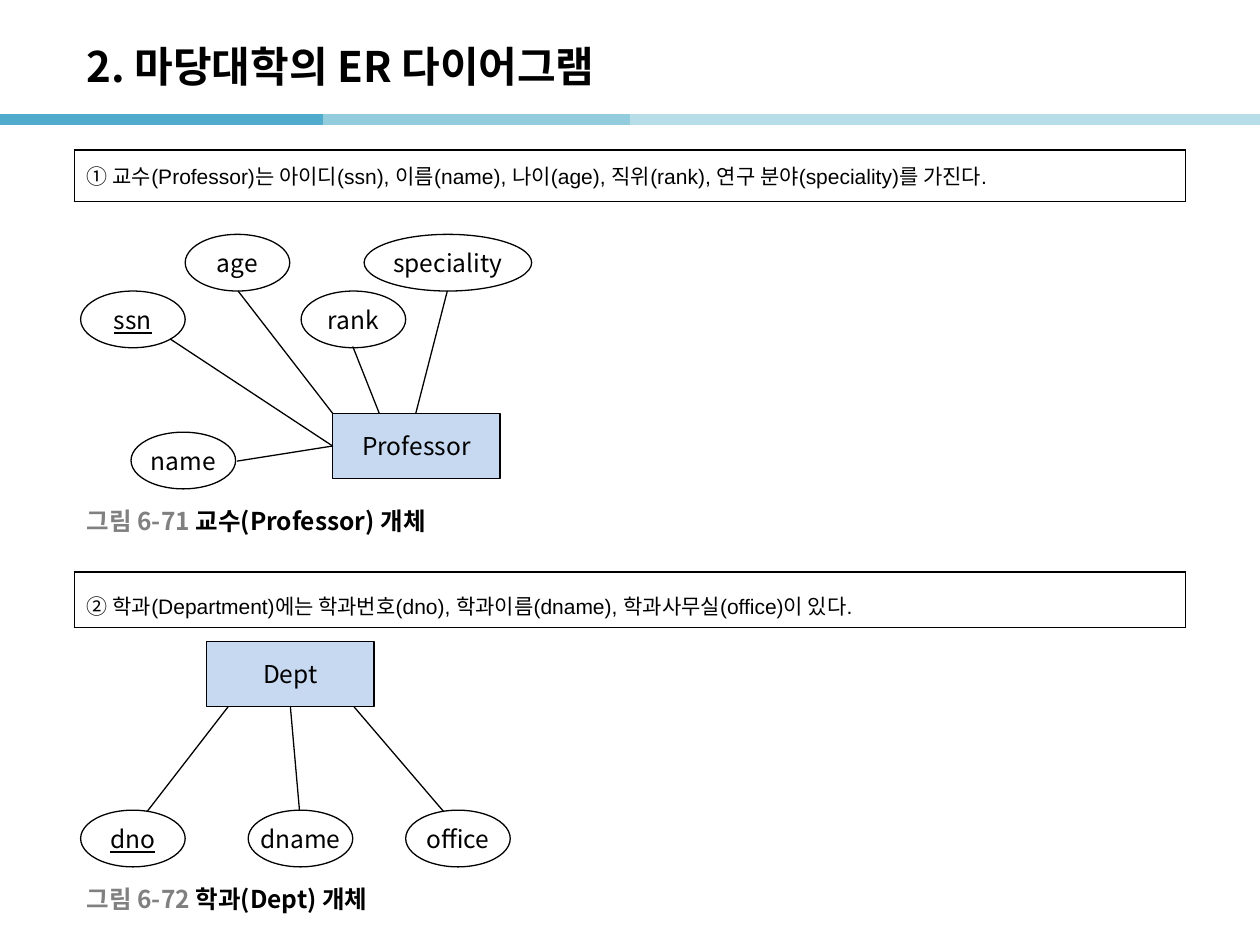
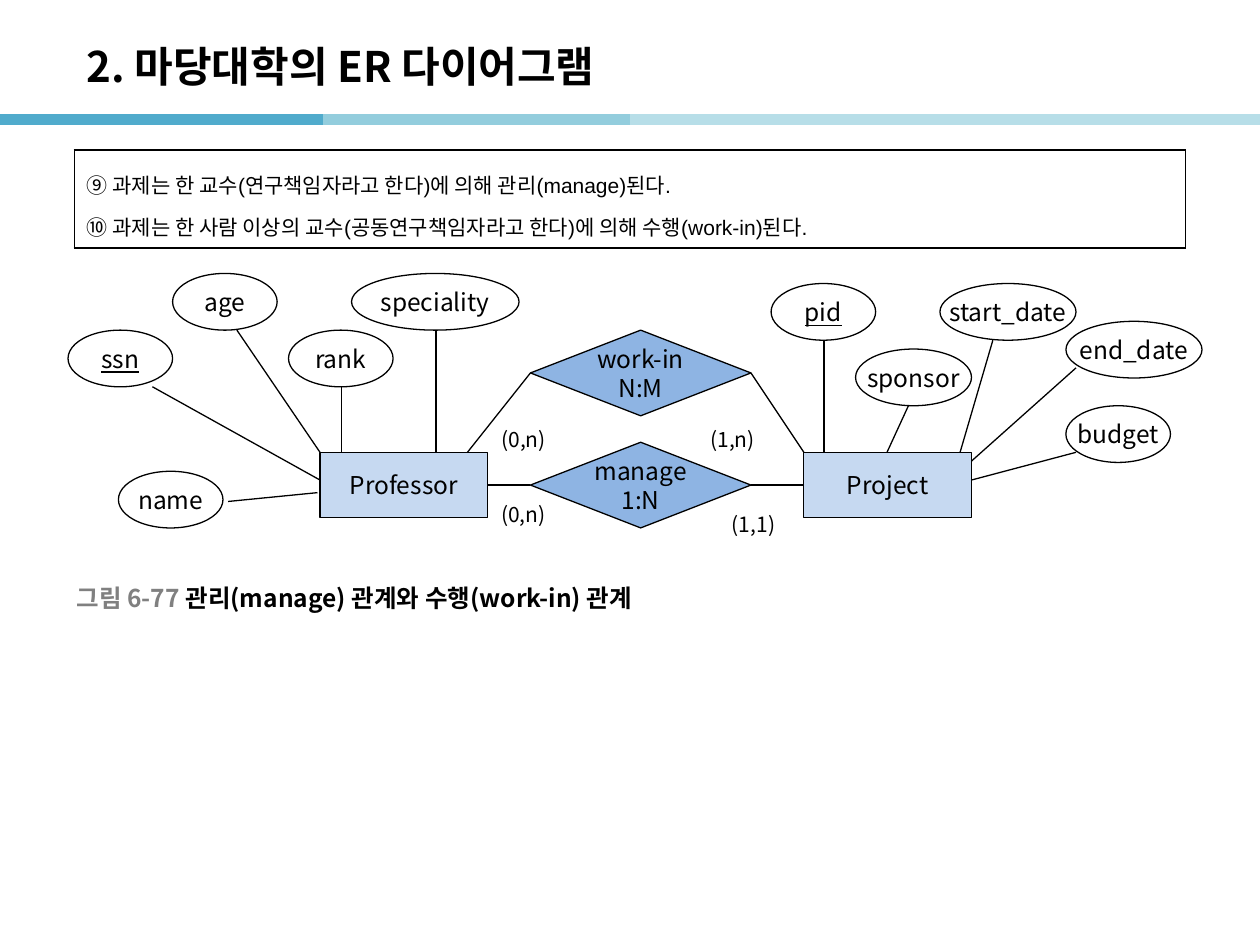
"""Build two slides with ER diagrams of a university database."""
from dataclasses import dataclass

from lxml import etree
from pptx import Presentation
from pptx.dml.color import RGBColor
from pptx.enum.shapes import MSO_CONNECTOR, MSO_SHAPE
from pptx.enum.text import MSO_ANCHOR, MSO_AUTO_SIZE, PP_ALIGN
from pptx.oxml.ns import qn
from pptx.util import Inches, Pt

RECT, OVAL, DIAMOND = MSO_SHAPE.RECTANGLE, MSO_SHAPE.OVAL, MSO_SHAPE.DIAMOND
STRAIGHT = MSO_CONNECTOR.STRAIGHT
MIDDLE = MSO_ANCHOR.MIDDLE
CENTER = PP_ALIGN.CENTER
FIT_SHAPE = MSO_AUTO_SIZE.SHAPE_TO_FIT_TEXT
LEFT, BOTTOM, RIGHT = 1, 2, 3


@dataclass(frozen=True)
class Theme:
    font: str = "Noto Sans CJK KR"
    note_font: str = "Arial"
    black: str = "000000"
    white: str = "FFFFFF"
    gray: str = "808080"
    entity: str = "C6D9F1"
    relation: str = "8EB4E3"
    bands: tuple = (("50ABCC", 0), ("93CDDD", 2.56), ("B7DEE8", 5), ("B7DEE8", 7.46))
    title_size: int = 24
    body_size: int = 14
    small_size: int = 12
    line: float = 0.75
    border: int = 1
    band: int = 6


class Deck:
    def __init__(self, theme):
        self.theme = theme
        self.prs = Presentation()
        self.prs.slide_width, self.prs.slide_height = Inches(10), Inches(7.5)
        self.s = None

    def slide(self, title):
        t = self.theme
        self.s = self.prs.slides.add_slide(self.prs.slide_layouts[6])
        for color, x in t.bands:
            self.link((x, 0.95), (x + 2.56, 0.95), color, t.band)
        tf = self.text_box(0.59, 0.22, 8.27, 0.6)
        tf.vertical_anchor = MIDDLE
        p = tf.paragraphs[0]
        p.text = title
        self.style(p.font, t.title_size, bold=True)

    def style(self, font, size, color=None, name=None, bold=False):
        font.name = name or self.theme.font
        font.size, font.bold = Pt(size), bold
        font.color.rgb = RGBColor.from_string(color or self.theme.black)
        etree.SubElement(font._rPr, qn("a:ea"), typeface=self.theme.font)

    def text_box(self, x, y, w, h):
        tf = self.s.shapes.add_textbox(Inches(x), Inches(y), Inches(w), Inches(h)).text_frame
        tf.word_wrap = True
        return tf

    def node(self, text, x, y, w, h, kind, fill, underline=False):
        t = self.theme
        sp = self.s.shapes.add_shape(kind, Inches(x), Inches(y), Inches(w), Inches(h))
        sp.shadow.inherit = False
        sp.fill.solid()
        sp.fill.fore_color.rgb = RGBColor.from_string(fill)
        sp.line.color.rgb = RGBColor.from_string(t.black)
        sp.line.width = Pt(t.line)
        tf = sp.text_frame
        tf.word_wrap = False
        tf.vertical_anchor = MIDDLE
        tf.text = text
        for p in tf.paragraphs:
            p.alignment = CENTER
            self.style(p.font, t.body_size)
            if underline:
                p.font.underline = True
        return sp

    def entity(self, text, x, y):
        return self.node(text, x, y, 1.33, 0.52, RECT, self.theme.entity)

    def relation(self, text, x, y):
        return self.node(text, x, y, 1.75, 0.68, DIAMOND, self.theme.relation)

    def attribute(self, text, x, y, w=0.83, key=False):
        return self.node(text, x, y, w, 0.45, OVAL, self.theme.white, key)

    def link(self, start, end, color=None, width=None):
        """Join two ends, each a point (x, y) or a (shape, site) pair."""
        points = [(0, 0) if hasattr(a, "shape_id") else (a, b) for a, b in (start, end)]
        cn = self.s.shapes.add_connector(STRAIGHT, *(Inches(v) for pt in points for v in pt))
        for pair, connect in ((start, cn.begin_connect), (end, cn.end_connect)):
            if hasattr(pair[0], "shape_id"):
                connect(*pair)
        cn.line.color.rgb = RGBColor.from_string(color or self.theme.black)
        cn.line.width = Pt(width or self.theme.line)
        etree.SubElement(cn._element.spPr, qn("a:effectLst"))

    def links(self, *pairs):
        for start, end in pairs:
            self.link(start, end)

    def note(self, y, h, lines, spacing=1.4):
        t = self.theme
        frame = self.s.shapes.add_table(1, 1, Inches(0.59), Inches(y), Inches(8.82), Inches(h))
        frame.table.first_row = frame.table.horz_banding = False
        cell = frame.table.cell(0, 0)
        cell.vertical_anchor = MIDDLE
        tc_pr = cell._tc.get_or_add_tcPr()
        for side in "LRTB":
            ln = etree.SubElement(tc_pr, qn("a:ln" + side), w=str(Pt(t.border)))
            fill = etree.SubElement(ln, qn("a:solidFill"))
            etree.SubElement(fill, qn("a:srgbClr"), val=t.black)
        cell.fill.solid()
        cell.fill.fore_color.rgb = RGBColor.from_string(t.white)
        cell.text_frame.text = "\n".join(lines)
        for p in cell.text_frame.paragraphs:
            p.line_spacing = spacing
            self.style(p.font, t.small_size, name=t.note_font)

    def caption(self, x, y, number, text):
        t = self.theme
        tf = self.text_box(x, y, 5.2, 0.31)
        tf.vertical_anchor = MIDDLE
        p = tf.paragraphs[0]
        for part, color in ((f"그림 {number} ", t.gray), (text, t.black)):
            r = p.add_run()
            r.text = part
            self.style(r.font, t.body_size, color, bold=True)

    def cardinality(self, text, x, y, w=0.58):
        tf = self.text_box(x, y, w, 0.3)
        tf.auto_size = FIT_SHAPE
        p = tf.paragraphs[0]
        p.text = text
        self.style(p.font, self.theme.small_size)

    def professor(self, dx=0, dy=0):
        entity = self.entity("Professor", 2.64 + dx, 3.28 + dy)
        for text, x, y, w in (("age", 1.47, 1.86, 0.83), ("ssn", 0.64, 2.31, 0.83),
                              ("rank", 2.39, 2.31, 0.83), ("speciality", 2.89, 1.86, 1.33),
                              ("name", 1.04, 3.43, 0.83)):
            self.attribute(text, x + dx, y + dy, w, key=text == "ssn")
        return entity


def entities_slide(deck, title):
    deck.slide(title)
    deck.note(1.19, 0.41, ["① 교수(Professor)는 아이디(ssn), 이름(name), 나이(age), 직위(rank), "
                           "연구 분야(speciality)를 가진다."], spacing=1.0)
    professor = deck.professor()
    deck.links(((1.88, 3.66), (professor, LEFT)), ((1.35, 2.69), (professor, LEFT)),
               ((1.89, 2.31), (2.64, 3.28)), ((2.8, 2.75), (3.01, 3.28)),
               ((3.55, 2.31), (3.3, 3.28)))
    deck.caption(0.59, 3.98, "6-71", "교수(Professor) 개체")

    deck.note(4.54, 0.44, ["② 학과(Department)에는 학과번호(dno), 학과이름(dname), "
                           "학과사무실(office)이 있다."])
    dept = deck.entity("Dept", 1.64, 5.09)
    deck.links(((1.81, 5.61), (1.06, 6.58)), ((dept, BOTTOM), (2.39, 6.58)),
               ((2.81, 5.61), (3.64, 6.58)))
    for text, x in (("dno", 0.64), ("dname", 1.97), ("office", 3.22)):
        deck.attribute(text, x, 6.43, key=text == "dno")
    deck.caption(0.59, 6.98, "6-72", "학과(Dept) 개체")


def relations_slide(deck, title):
    deck.slide(title)
    deck.note(1.19, 0.78, ["⑨ 과제는 한 교수(연구책임자라고 한다)에 의해 관리(manage)된다.",
                           "⑩ 과제는 한 사람 이상의 교수(공동연구책임자라고 한다)에 의해 "
                           "수행(work-in)된다."])
    professor = deck.professor(-0.1, 0.31)
    project = deck.entity("Project", 6.38, 3.59)
    work_in = deck.relation("work-in\nN:M", 4.21, 2.62)
    manage = deck.relation("manage\n1:N", 4.21, 3.51)
    for text, x, y, w in (("pid", 6.12, 2.25, 0.83), ("sponsor", 6.79, 2.77, 0.92),
                          ("end_date", 8.46, 2.55, 1.08), ("start_date", 7.46, 2.25, 1.08),
                          ("budget", 8.46, 3.22, 0.83)):
        deck.attribute(text, x, y, w, key=text == "pid")
    deck.links(((1.21, 3.07), (2.54, 3.81)), ((1.88, 2.62), (2.54, 3.59)),
               ((2.71, 3.07), (2.71, 3.59)), ((3.46, 2.62), (3.46, 3.59)),
               ((1.81, 3.98), (2.52, 3.91)),
               ((6.54, 2.7), (6.54, 3.59)), ((7.21, 3.22), (7.04, 3.59)),
               ((7.88, 2.7), (7.62, 3.59)), ((8.54, 2.92), (7.71, 3.66)),
               ((8.54, 3.59), (7.71, 3.81)),
               ((work_in, RIGHT), (6.38, 3.59)), ((manage, RIGHT), (project, LEFT)),
               ((work_in, LEFT), (3.71, 3.59)), ((professor, RIGHT), (manage, LEFT)))
    deck.cardinality("(0,n)", 3.88, 3.93, 0.67)
    deck.cardinality("(1,1)", 5.71, 4.01)
    deck.cardinality("(1,n)", 5.54, 3.34)
    deck.cardinality("(0,n)", 3.88, 3.34)
    deck.caption(0.51, 4.59, "6-77", "관리(manage) 관계와 수행(work-in) 관계")


def main():
    deck = Deck(Theme())
    title = "2. 마당대학의 ER 다이어그램"
    entities_slide(deck, title)
    relations_slide(deck, title)
    deck.prs.save("out.pptx")


if __name__ == "__main__":
    main()
